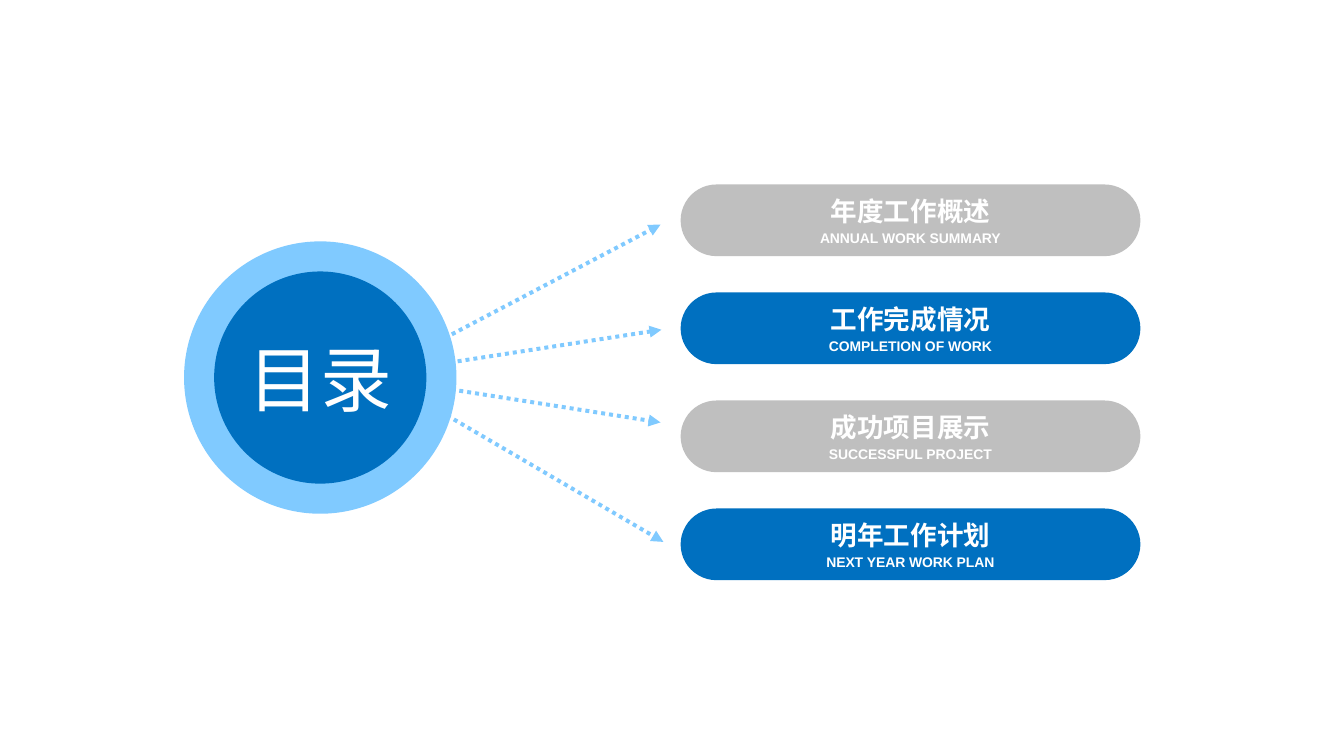
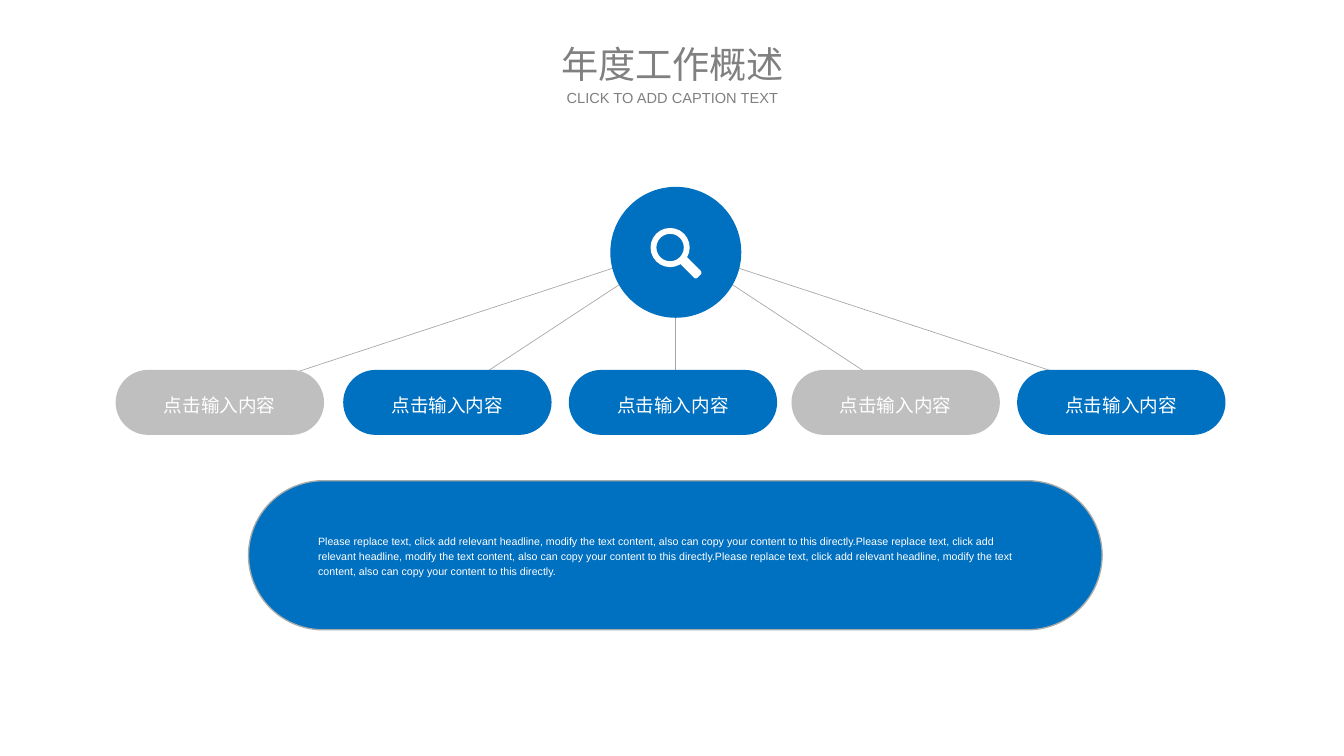
from lxml import etree
from pptx import Presentation
from pptx.dml.color import RGBColor
from pptx.enum.dml import MSO_LINE
from pptx.enum.shapes import MSO_CONNECTOR, MSO_SHAPE
from pptx.enum.text import MSO_ANCHOR, PP_ALIGN
from pptx.oxml.ns import qn
from pptx.util import Inches, Pt

OVAL, DONUT, ROUNDED = MSO_SHAPE.OVAL, MSO_SHAPE.DONUT, MSO_SHAPE.ROUNDED_RECTANGLE
STRAIGHT, DOTTED = MSO_CONNECTOR.STRAIGHT, MSO_LINE.ROUND_DOT
LEFT, CENTER, MIDDLE = PP_ALIGN.LEFT, PP_ALIGN.CENTER, MSO_ANCHOR.MIDDLE


class Theme:
    font = "Arial"
    blue, sky, silver = "0070C0", "80CAFF", "BFBFBF"
    white, title, rule, outline = "FFFFFF", "808080", "A6A6A6", "A6AAA9"
    contents_size, title_size, entry_size = 54, 28, 20
    label_size, caption_size, entry_caption_size, body_size = 14, 11, 10.5, 8


# Content
CONTENTS_TITLE = "目录"
CHAPTERS = [
    ("年度工作概述", "ANNUAL WORK SUMMARY", Theme.silver),
    ("工作完成情况", "COMPLETION OF WORK", Theme.blue),
    ("成功项目展示", "SUCCESSFUL PROJECT", Theme.silver),
    ("明年工作计划", "NEXT YEAR WORK PLAN", Theme.blue),
]
CHAPTER_ARROWS = [
    ((4.21, 3.77), (6.91, 2.35)),
    ((4.21, 3.87), (6.92, 3.45)),
    ((4.31, 4.01), (6.91, 4.42)),
    ((4.46, 4.22), (6.94, 5.67)),
]
SUMMARY_TITLE, SUMMARY_CAPTION = "年度工作概述", "CLICK TO ADD CAPTION TEXT"
# Label, left edge, colour
TOPICS = [
    ("点击输入内容", 1.21, Theme.silver),
    ("点击输入内容", 3.59, Theme.blue),
    ("点击输入内容", 5.95, Theme.blue),
    ("点击输入内容", 8.28, Theme.silver),
    ("点击输入内容", 10.64, Theme.blue),
]
BODY = "".join(["Please replace text, click add relevant headline, modify the text content, "
                "also can copy your content to this directly."] * 3)


# Helpers
def rgb(code):
    return RGBColor.from_string(code)


def write(shape, text, size, color=Theme.white, bold=False, align=CENTER,
          spacing=None, before=None, insets=(0, 0), more=False):
    """Write one paragraph into a shape; more=True adds it below the last one."""
    frame = shape.text_frame
    frame.word_wrap = True
    frame.vertical_anchor = MIDDLE
    frame.margin_left, frame.margin_right = map(Inches, insets)
    frame.margin_top = frame.margin_bottom = 0
    paragraph = frame.add_paragraph() if more else frame.paragraphs[0]
    paragraph.alignment = align
    if spacing:
        paragraph.line_spacing = spacing
    if before:
        paragraph.space_before = Pt(before)
    run = paragraph.add_run()
    run.text = text
    font = run.font
    font.size, font.bold, font.name = Pt(size), bold, Theme.font
    font.color.rgb = rgb(color)
    etree.SubElement(run._r.get_or_add_rPr(), qn("a:ea"), typeface=Theme.font)


def add_block(slide, preset, box, fill, adjust=None, outline=None):
    block = slide.shapes.add_shape(preset, *map(Inches, box))
    block.shadow.inherit = False
    block.fill.solid()
    block.fill.fore_color.rgb = rgb(fill)
    if adjust is not None:
        block.adjustments[0] = adjust
    if outline:
        block.line.color.rgb = rgb(outline)
        block.line.width = Pt(1)
    else:
        block.line.fill.background()
    return block


def add_disc(slide, center, diameter, fill, preset=OVAL, adjust=None):
    x, y = center
    box = (x - diameter / 2, y - diameter / 2, diameter, diameter)
    return add_block(slide, preset, box, fill, adjust)


def add_link(slide, start, end, color, width, arrow=False):
    link = slide.shapes.add_connector(STRAIGHT, *map(Inches, start + end))
    link.line.color.rgb = rgb(color)
    link.line.width = Pt(width)
    if arrow:
        link.line.dash_style = DOTTED
        etree.SubElement(link.line._get_or_add_ln(), qn("a:tailEnd"), type="triangle")
    etree.SubElement(link._element.spPr, qn("a:effectLst"))


def add_heading(slide, title, caption):
    for text, top, height, size in ((title, 0.42, 0.49, Theme.title_size),
                                    (caption, 0.93, 0.19, Theme.caption_size)):
        line = slide.shapes.add_textbox(*map(Inches, (5.77, top, 2.53, height)))
        write(line, text, size, color=Theme.title)


# Slides
def build_contents(slide):
    for start, end in CHAPTER_ARROWS:
        add_link(slide, start, end, Theme.sky, 3, arrow=True)

    # Chapter pills
    top, step = 1.93, 1.13
    for i, (name, caption, fill) in enumerate(CHAPTERS):
        pill = add_block(slide, ROUNDED, (7.12, top + i * step, 4.81, 0.75), fill, 0.5)
        write(pill, name, Theme.entry_size, bold=True)
        write(pill, caption, Theme.entry_caption_size, bold=True, before=2, more=True)

    # Ringed disc
    center = (3.35, 3.95)
    add_disc(slide, center, 2.85, Theme.sky)
    disc = add_disc(slide, center, 2.22, Theme.blue)
    write(disc, CONTENTS_TITLE, Theme.contents_size)


def build_summary(slide):
    add_heading(slide, SUMMARY_TITLE, SUMMARY_CAPTION)

    # Spokes fan out evenly from the hub
    hub, spoke_step, spoke_end = (7.07, 2.64), 2.39, 4.16
    middle = len(TOPICS) // 2
    for i in range(len(TOPICS)):
        end = (hub[0] + (i - middle) * spoke_step, spoke_end)
        add_link(slide, (hub[0], 2.59), end, Theme.rule, 0.5)

    # Topic pills
    for label, left, fill in TOPICS:
        pill = add_block(slide, ROUNDED, (left, 3.87, 2.18, 0.68), fill, 0.5)
        write(pill, label, Theme.label_size, spacing=1.2)

    # Hub with a magnifier
    add_disc(slide, hub, 1.37, Theme.blue)
    add_disc(slide, (7.01, 2.59), 0.41, Theme.white, DONUT, 0.15)
    handle = add_block(slide, ROUNDED, (7.1, 2.75, 0.25, 0.1), Theme.white, 0.25)
    handle.rotation = 45

    # Body panel
    panel = add_block(slide, ROUNDED, (2.6, 5.03, 8.93, 1.56), Theme.blue, 0.5, Theme.outline)
    write(panel, BODY, Theme.body_size, align=LEFT, spacing=1.2, insets=(0.5, 0.59))


def main():
    deck = Presentation()
    deck.slide_width, deck.slide_height = Inches(14.06), Inches(7.91)
    blank = deck.slide_layouts[6]
    for build in (build_contents, build_summary):
        build(deck.slides.add_slide(blank))
    deck.save("out.pptx")


if __name__ == "__main__":
    main()
